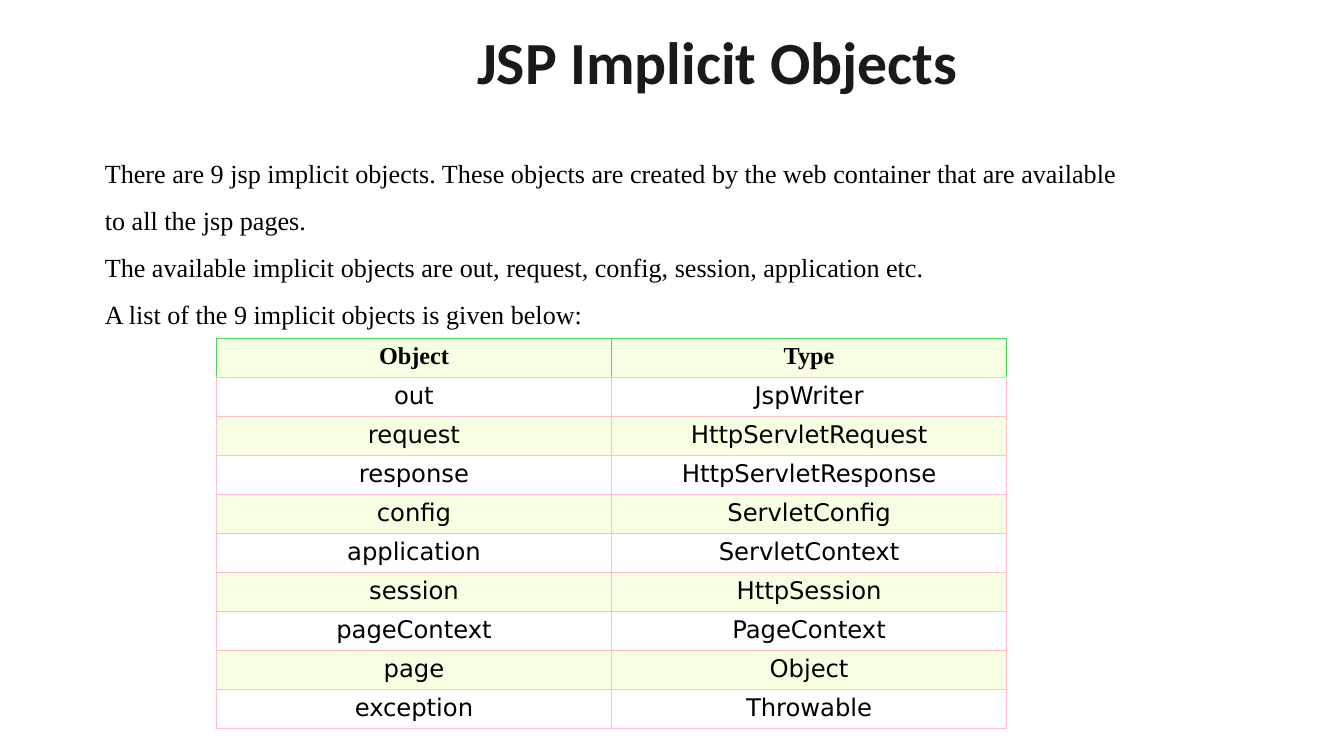
"""Build a slide that lists the JSP implicit objects and their types."""
from lxml.etree import SubElement
from pptx import Presentation
from pptx.dml.color import RGBColor
from pptx.enum.text import MSO_ANCHOR, MSO_AUTO_SIZE, PP_ALIGN
from pptx.oxml.ns import qn
from pptx.util import Inches, Pt

COLORS = {"title": "1A1A1A", "text": "000000", "band": "F6FFE1",
          "plain": "FFFFFF", "green": "50D456", "pink": "FFC0CB"}
FORMATS = {
    "title": {"size": Pt(32), "name": "Calibri", "bold": True},
    "body": {"size": Pt(14), "name": "Times New Roman", "bold": False},
    "head": {"size": Pt(13), "name": "Times New Roman", "bold": True},
    "cell": {"size": Pt(13), "name": "DejaVu Sans", "bold": False},
}
BODY = [
    "There are 9 jsp implicit objects. These objects are created by the web container that are available to all the jsp pages.",
    "The available implicit objects are out, request, config, session, application etc.",
    "A list of the 9 implicit objects is given below:",
]
ROWS = [
    ("Object", "Type"),
    ("out", "JspWriter"),
    ("request", "HttpServletRequest"),
    ("response", "HttpServletResponse"),
    ("config", "ServletConfig"),
    ("application", "ServletContext"),
    ("session", "HttpSession"),
    ("pageContext", "PageContext"),
    ("page", "Object"),
    ("exception", "Throwable"),
]
MARGINS = ("margin_left", "margin_top", "margin_right", "margin_bottom")


def write(p, text, style, color="text"):
    r = p.add_run()
    r.text = text
    for key, value in FORMATS[style].items():
        setattr(r.font, key, value)
    r.font.color.rgb = RGBColor.from_string(COLORS[color])


def border(cell, side, color):
    ln = SubElement(cell._tc.get_or_add_tcPr(), qn(f"a:ln{side}"), w=str(Pt(0.75)))
    fill = SubElement(ln, qn("a:solidFill"))
    SubElement(fill, qn("a:srgbClr"), val=COLORS[color])


prs = Presentation()
prs.slide_width = Inches(10)
prs.slide_height = prs.slide_width * 9 // 16
col, row = prs.slide_width / 100, prs.slide_height / 100
s = prs.slides.add_slide(prs.slide_layouts[5])

title = s.shapes.title
title.left, title.top = int(8.5 * col), int(4.7 * row)
title.width, title.height = int(89.8 * col), int(7.8 * row)
tf = title.text_frame
tf.auto_size, tf.vertical_anchor = MSO_AUTO_SIZE.NONE, MSO_ANCHOR.MIDDLE
for margin in MARGINS:
    setattr(tf, margin, Inches(0.08))
p = tf.paragraphs[0]
p.alignment, p.line_spacing = PP_ALIGN.CENTER, 0.9
write(p, "JSP Implicit Objects", "title", "title")

body = s.shapes.add_textbox(int(6.82 * col), int(17.86 * row), int(77.4 * col), int(33.3 * row))
tf = body.text_frame
tf.word_wrap = True
for i, text in enumerate(BODY):
    p = tf.add_paragraph() if i else tf.paragraphs[0]
    p.line_spacing = 1.5
    write(p, text, "body")

table = s.shapes.add_table(len(ROWS), 2, int(16.1 * col), int(44.8 * row),
                           int(58.8 * col), int(51.6 * row)).table
for i, values in enumerate(ROWS):
    for j, text in enumerate(values):
        cell = table.cell(i, j)
        for margin in MARGINS:
            setattr(cell, margin, Pt(2.5))
        for side in "LRTB":
            border(cell, side, "green" if i == 0 and side != "B" else "pink")
        cell.fill.solid()
        cell.fill.fore_color.rgb = RGBColor.from_string(COLORS["plain" if i % 2 else "band"])
        p = cell.text_frame.paragraphs[0]
        p.alignment = PP_ALIGN.CENTER
        write(p, text, "cell" if i else "head")

prs.save("out.pptx")
